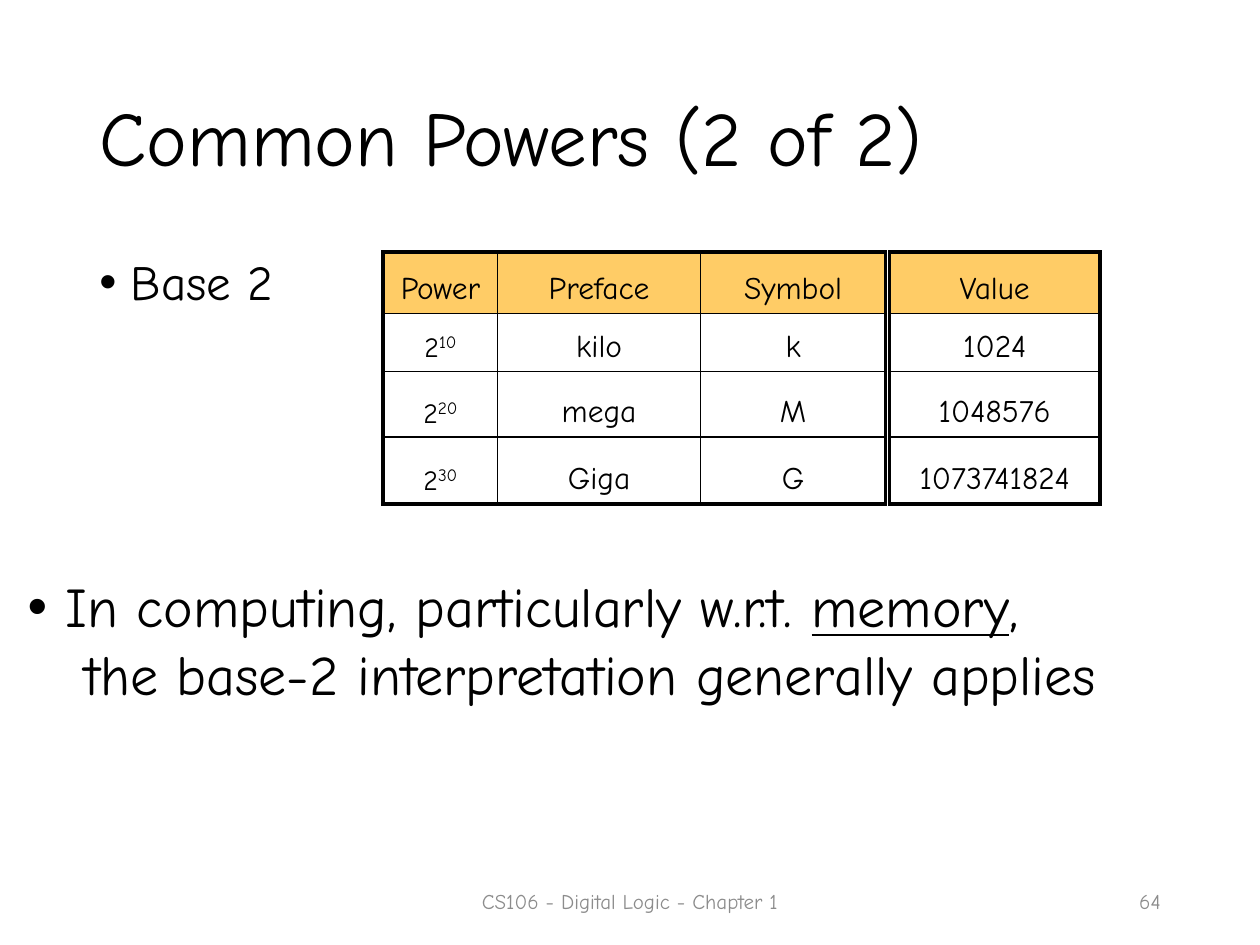
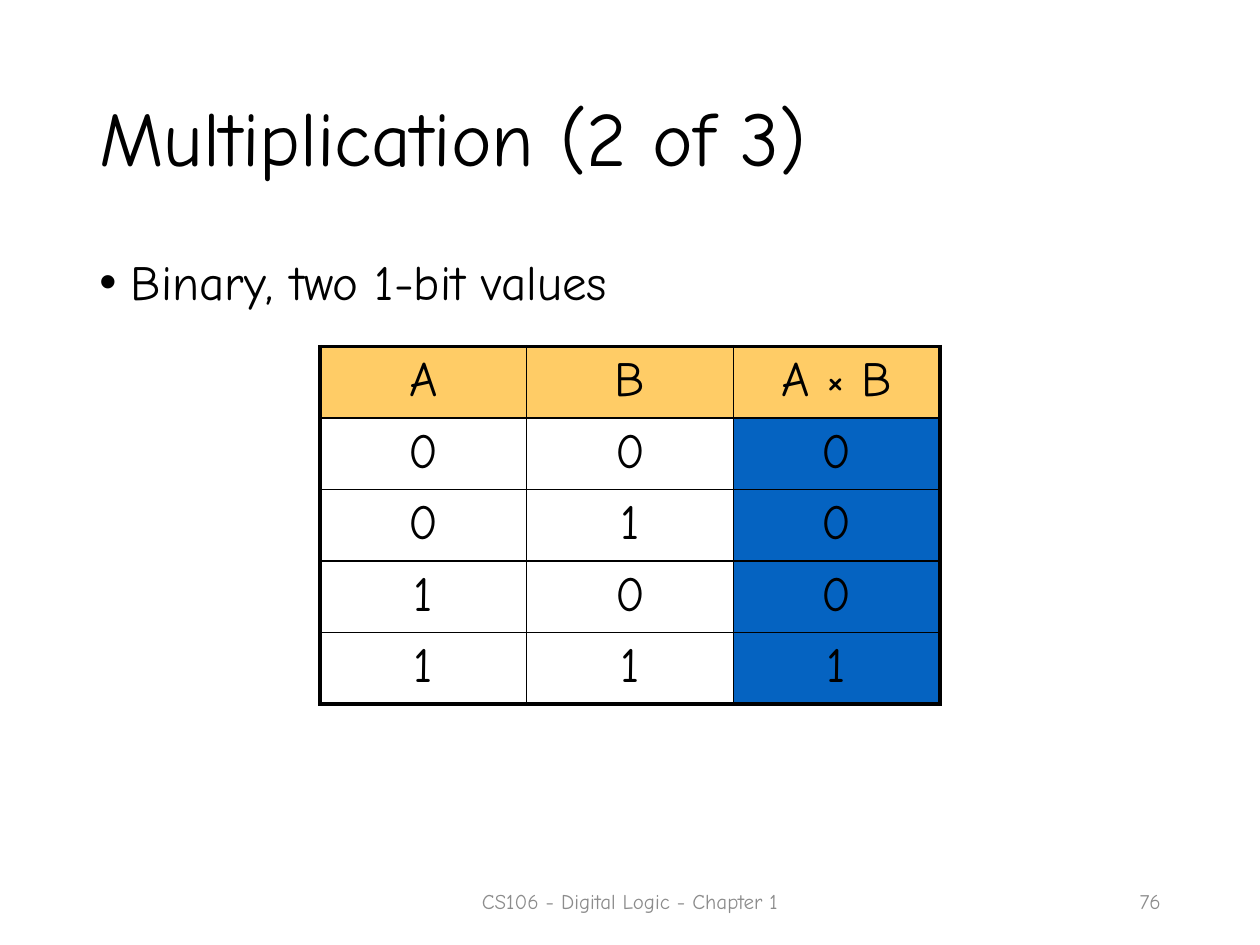
from lxml import etree
from pptx import Presentation
from pptx.dml.color import RGBColor
from pptx.enum import text
from pptx.oxml import ns
from pptx.util import Inches, Pt

FONT = "Comic Neue"
COLORS = {"ink": "000000", "header": "FFCC66", "product": "0563C1", "footer": "8C8C8C"}
THICK, THIN = 2.25, 1
LEFT, CENTER, RIGHT = text.PP_ALIGN.LEFT, text.PP_ALIGN.CENTER, text.PP_ALIGN.RIGHT
TOP, MIDDLE, BOTTOM = text.MSO_ANCHOR.TOP, text.MSO_ANCHOR.MIDDLE, text.MSO_ANCHOR.BOTTOM


def style(paragraph, size, color="ink", align=LEFT):
    paragraph.alignment = align
    for run in paragraph.runs:
        run.font.size = Pt(size)
        run.font.name = FONT
        run.font.color.rgb = RGBColor.from_string(COLORS[color])


def write(slide, box, words, size, color="ink", align=LEFT, anchor=MIDDLE, spacing=1.0, hang=0):
    frame = slide.shapes.add_textbox(*map(Inches, box)).text_frame
    frame.word_wrap = True
    frame.vertical_anchor = anchor
    frame.text = words
    paragraph = frame.paragraphs[0]
    if hang:
        props = paragraph._p.get_or_add_pPr()
        props.set("marL", str(Inches(hang)))
        props.set("indent", str(-Inches(hang)))
        etree.SubElement(props, ns.qn("a:buFont")).set("typeface", "Arial")
        etree.SubElement(props, ns.qn("a:buChar")).set("char", "•")
    paragraph.line_spacing = spacing
    style(paragraph, size, color, align)
    return paragraph


prefix_rows = [0.49, 0.46, 0.52, 0.53]
bits = [(0, 0), (0, 1), (1, 0), (1, 1)]

pages = [
    {
        "title": "Common Powers (2 of 2)",
        "topic": "Base 2",
        "number": "64",
        "tables": [
            {
                "at": (3.04, 2), "cols": [0.91, 1.61, 1.47], "rows": prefix_rows,
                "size": 18, "anchor": BOTTOM, "filled_col": None,
                "cells": [
                    ["Power", "Preface", "Symbol"],
                    ["2^10", "kilo", "k"],
                    ["2^20", "mega", "M"],
                    ["2^30", "Giga", "G"],
                ],
            },
            {
                "at": (7.06, 2), "cols": [1.67], "rows": prefix_rows,
                "size": 18, "anchor": BOTTOM, "filled_col": None,
                "cells": [["Value"]] + [[str(2 ** power)] for power in (10, 20, 30)],
            },
        ],
    },
    {
        "title": "Multiplication (2 of 3)",
        "topic": "Binary, two 1-bit values",
        "number": "76",
        "tables": [
            {
                "at": (2.54, 2.75), "cols": [1.64] * 3, "rows": [0.55] * 5,
                "size": 28, "anchor": TOP, "filled_col": 2,
                "cells": [["A", "B", "A × B"]] + [[str(a), str(b), str(a * b)] for a, b in bits],
            },
        ],
    },
]

prs = Presentation()
prs.slide_width, prs.slide_height = Inches(10), Inches(7.5)

for page in pages:
    slide = prs.slides.add_slide(prs.slide_layouts[6])
    write(slide, (0.69, 0.4, 8.62, 1.45), page["title"], 44, spacing=0.9)
    write(slide, (0.69, 2, 8.62, 4.76), page["topic"], 28, anchor=TOP, spacing=0.9, hang=0.25)

    for spec_table in page["tables"]:
        cols, rows = spec_table["cols"], spec_table["rows"]
        left, top = spec_table["at"]
        grid = slide.shapes.add_table(
            len(rows), len(cols), Inches(left), Inches(top), Inches(sum(cols)), Inches(sum(rows))
        ).table
        grid.first_row = grid.horz_banding = False
        for column, width in zip(grid.columns, cols):
            column.width = Inches(width)
        for row, height in zip(grid.rows, rows):
            row.height = Inches(height)

        for r, values in enumerate(spec_table["cells"]):
            for c, value in enumerate(values):
                cell = grid.cell(r, c)
                cell.vertical_anchor = spec_table["anchor"]
                base, _, power = value.partition("^")
                cell.text = base
                entry = cell.text_frame.paragraphs[0]
                style(entry, 16 if power else spec_table["size"], align=CENTER)
                if power:
                    exponent = entry.add_run()
                    exponent.text = power
                    style(entry, 16, align=CENTER)
                    exponent.font.size = Pt(17)
                    exponent._r.get_or_add_rPr().set("baseline", "30000")

                outer = {"L": c == 0, "R": c == len(cols) - 1, "T": r == 0, "B": r == len(rows) - 1}
                for side, is_outer in outer.items():
                    border = etree.SubElement(cell._tc.get_or_add_tcPr(), ns.qn(f"a:ln{side}"))
                    border.set("w", str(Pt(THICK if is_outer else THIN)))
                    ink = etree.SubElement(border, ns.qn("a:solidFill"))
                    etree.SubElement(ink, ns.qn("a:srgbClr")).set("val", COLORS["ink"])

                fill = "header" if r == 0 else "product" if c == spec_table["filled_col"] else None
                if fill:
                    cell.fill.solid()
                    cell.fill.fore_color.rgb = RGBColor.from_string(COLORS[fill])
                else:
                    cell.fill.background()

    write(slide, (3.31, 6.95, 3.38, 0.4), "CS106 - Digital Logic - Chapter 1", 12, "footer", CENTER)
    write(slide, (7.06, 6.95, 2.25, 0.4), page["number"], 12, "footer", RIGHT)

conclusion = write(
    prs.slides[0], (0.12, 4.49, 9.58, 1.18), "In computing, particularly w.r.t. ", 32, anchor=TOP, hang=0.3
)
memory = conclusion.add_run()
memory.text = "memory"
memory.font.underline = True
conclusion.add_run().text = ","
conclusion.add_line_break()
conclusion.add_run().text = " the base-2 interpretation generally applies"
style(conclusion, 32)

prs.save("out.pptx")
